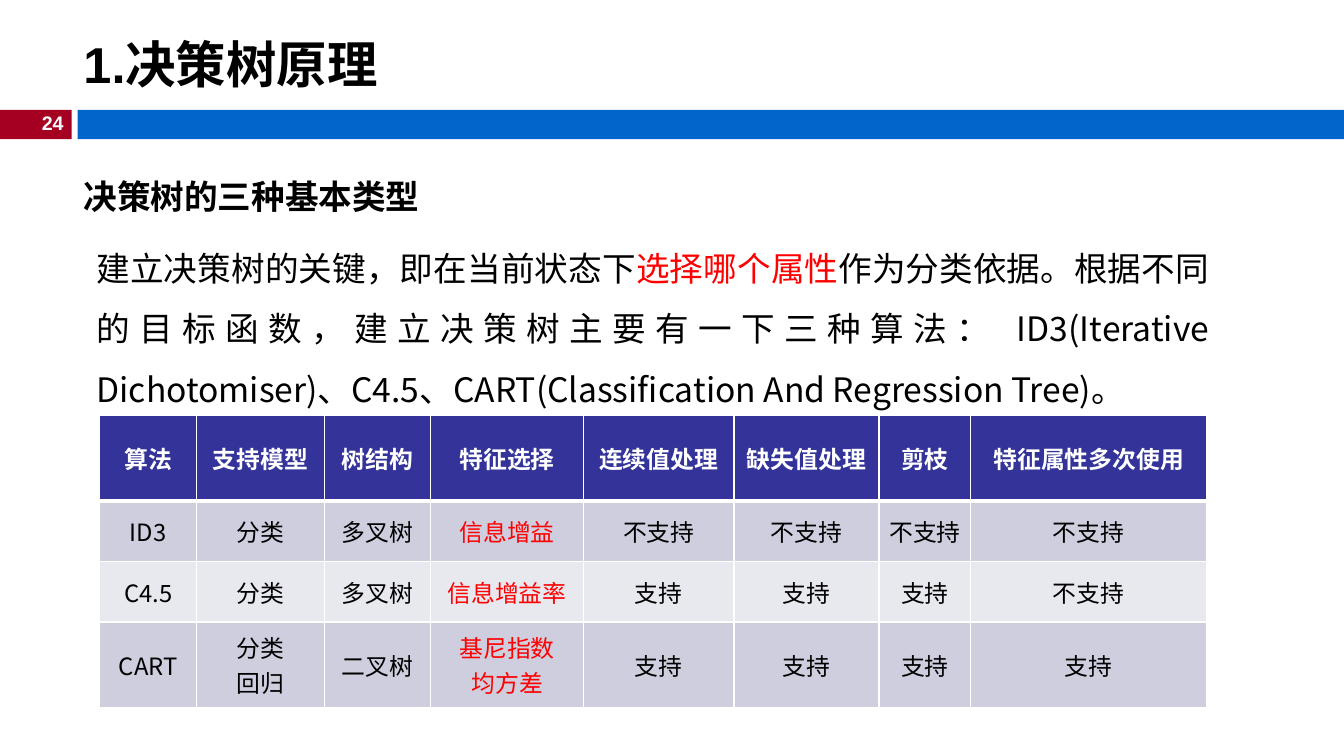
from dataclasses import dataclass

from lxml.etree import SubElement
from pptx import Presentation
from pptx.dml.color import RGBColor
from pptx.enum.shapes import MSO_SHAPE
from pptx.enum.text import MSO_ANCHOR, PP_ALIGN
from pptx.oxml import parse_xml
from pptx.oxml.ns import nsdecls, qn
from pptx.util import Inches, Pt


@dataclass(frozen=True)
class Theme:
    latin: str = "Arial"
    chinese: str = "Noto Sans CJK SC"
    black: str = "000000"
    white: str = "FFFFFF"
    accent: str = "FF0000"
    crimson: str = "A50021"
    blue: str = "0066CC"
    header: str = "333399"
    bands: tuple = ("CECEDE", "E8E8EF")
    title_size: int = 36
    body_size: int = 24
    table_size: int = 17
    number_size: int = 14


THEME = Theme()
TABLE_ROWS = (
    ("算法", "支持模型", "树结构", "特征选择", "连续值处理", "缺失值处理", "剪枝", "特征属性多次使用"),
    ("ID3", "分类", "多叉树", "信息增益", "不支持", "不支持", "不支持", "不支持"),
    ("C4.5", "分类", "多叉树", "信息增益率", "支持", "支持", "支持", "不支持"),
    ("CART", "分类\n回归", "二叉树", "基尼指数\n均方差", "支持", "支持", "支持", "支持"),
)
COLUMN_WIDTHS = (0.96, 1.27, 1.05, 1.52, 1.49, 1.44, 0.91, 2.34)
ROW_HEIGHTS = (0.85, 0.6, 0.6, 0.85)
SELECTION_COLUMN = 3


def set_values(target, values):
    for name, value in values.items():
        setattr(target, name, value)


def add_span(para, text, size, color, bold=False, font=THEME.chinese):
    span = para.add_run()
    span.text = text
    set_values(span.font, {"name": font, "size": Pt(size), "bold": bold})
    span.font.color.rgb = RGBColor.from_string(color)
    # East Asian glyphs take their own typeface
    SubElement(span.font._element, qn("a:ea"), typeface=THEME.chinese)


def add_text(page, box, spans, align=PP_ALIGN.LEFT, anchor=MSO_ANCHOR.TOP,
             wrap=True, spacing=None):
    frame = page.shapes.add_textbox(*map(Inches, box)).text_frame
    set_values(frame, {"word_wrap": wrap, "vertical_anchor": anchor})
    para = frame.paragraphs[0]
    set_values(para, {"alignment": align, "line_spacing": spacing})
    for span in spans:
        add_span(para, **span)


def add_bar(page, box, color):
    bar = page.shapes.add_shape(MSO_SHAPE.RECTANGLE, *map(Inches, box))
    bar.shadow.inherit = False
    bar.fill.solid()
    bar.fill.fore_color.rgb = RGBColor.from_string(color)
    bar.line.fill.background()


def add_header(page, left, top, width):
    # Number block and ribbon
    add_bar(page, (left, top, 0.71, 0.29), THEME.crimson)
    add_bar(page, (left + 0.77, top, width - 0.77, 0.29), THEME.blue)
    bold = {"bold": True, "font": THEME.latin}
    add_text(page, (left + 0.29, top - 0.04, 0.44, 0.34),
             [{"text": "24", "size": THEME.number_size, "color": THEME.white, **bold}],
             align=PP_ALIGN.RIGHT, wrap=False)
    # Title above the ribbon
    add_text(page, (left + 0.73, top - 0.83, width - 0.73, 0.74),
             [{"text": "1.决策树原理", "size": THEME.title_size, "color": THEME.black, **bold}],
             anchor=MSO_ANCHOR.MIDDLE)


def add_body(page, left, top):
    size = THEME.body_size
    # Subheading
    add_text(page, (left, top, 6.67, 0.5),
             [{"text": "决策树的三种基本类型", "size": size, "color": THEME.black,
               "bold": True, "font": THEME.latin}])
    # Explanation with the key phrase picked out
    phrases = (
        ("建立决策树的关键，即在当前状态下", THEME.black),
        ("选择哪个属性", THEME.accent),
        ("作为分类依据。根据不同的目标函数，建立决策树主要有一下三种算法： "
         "ID3(Iterative Dichotomiser)、C4.5、"
         "CART(Classification And Regression Tree)。", THEME.black),
    )
    add_text(page, (left + 0.13, top + 0.51, 11.23, 1.85),
             [{"text": text, "size": size, "color": color} for text, color in phrases],
             align=PP_ALIGN.JUSTIFY, spacing=1.5)


def add_borders(cell, widths):
    properties = cell._tc.get_or_add_tcPr()
    for index, (side, width) in enumerate(widths.items()):
        properties.insert(index, parse_xml(
            f'<a:ln{side} {nsdecls("a")} w="{Pt(width)}"><a:solidFill>'
            f'<a:srgbClr val="{THEME.white}"/></a:solidFill></a:ln{side}>'))


def fill_cell(cell, text, row, column):
    is_header = row == 0
    fill = THEME.header if is_header else THEME.bands[(row - 1) % 2]
    color = THEME.accent if column == SELECTION_COLUMN else THEME.black
    if is_header:
        color = THEME.white
    set_values(cell, {"vertical_anchor": MSO_ANCHOR.MIDDLE,
                      "margin_left": Inches(0.05), "margin_right": Inches(0.05)})
    cell.fill.solid()
    cell.fill.fore_color.rgb = RGBColor.from_string(fill)
    # A thicker rule separates the header from the data
    add_borders(cell, {"L": 1, "R": 1, "T": 3 if row == 1 else 1, "B": 3 if is_header else 1})
    frame = cell.text_frame
    for index, line in enumerate(text.split("\n")):
        para = frame.add_paragraph() if index else frame.paragraphs[0]
        para.alignment = PP_ALIGN.CENTER
        add_span(para, line, THEME.table_size, color, bold=is_header)


def add_comparison(page, left, top):
    box = (left, top, sum(COLUMN_WIDTHS), sum(ROW_HEIGHTS))
    table = page.shapes.add_table(len(TABLE_ROWS), len(COLUMN_WIDTHS), *map(Inches, box)).table
    for column, width in zip(table.columns, COLUMN_WIDTHS):
        column.width = Inches(width)
    for row, height in zip(table.rows, ROW_HEIGHTS):
        row.height = Inches(height)
    for row, texts in enumerate(TABLE_ROWS):
        for column, text in enumerate(texts):
            fill_cell(table.cell(row, column), text, row, column)


def main():
    deck = Presentation()
    set_values(deck, {"slide_width": Inches(13.33), "slide_height": Inches(7.5)})
    page = deck.slides.add_slide(deck.slide_layouts[6])
    add_header(page, 0, 1.09, 13.33)
    add_body(page, 0.73, 1.7)
    add_comparison(page, 0.99, 4.12)
    deck.save("out.pptx")


if __name__ == "__main__":
    main()
